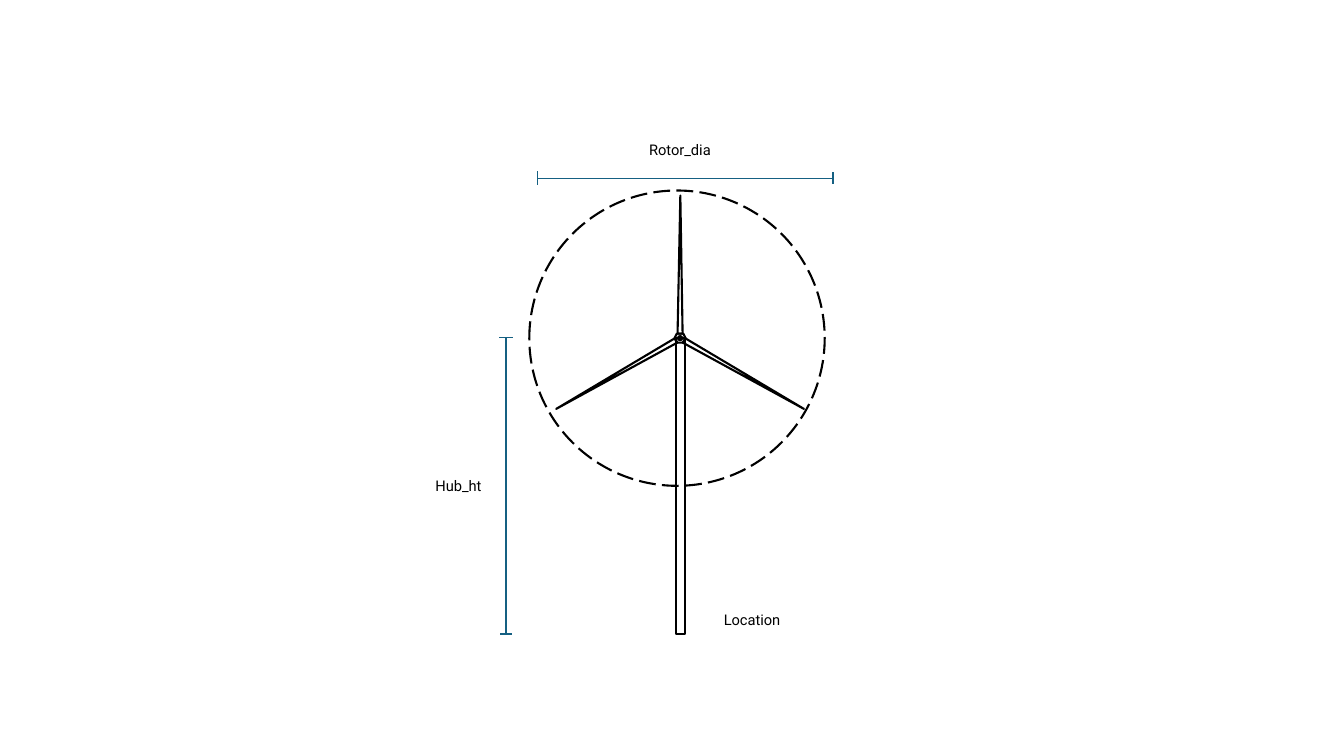
import math

from lxml import etree
from pptx import Presentation
from pptx.dml.color import RGBColor
from pptx.enum import dml, shapes, text
from pptx.oxml.ns import qn
from pptx.util import Inches, Pt

BLACK, BLUE = "000000", "156082"
SHAPE = shapes.MSO_SHAPE


def color(value):
    return RGBColor.from_string(value)


def add_outline(slide, kind, box, rotation=0):
    """Draw an unfilled shape with a black line."""
    outline = slide.shapes.add_shape(kind, *map(Inches, box))
    outline.shadow.inherit = False
    outline.fill.background()
    outline.line.color.rgb = color(BLACK)
    outline.line.width = Pt(1.5)
    outline.rotation = rotation
    return outline


def add_centered(slide, kind, center, size, rotation=0):
    (x, y), (width, height) = center, size
    box = (x - width / 2, y - height / 2, width, height)
    return add_outline(slide, kind, box, rotation)


def add_line(slide, x1, y1, x2, y2):
    line = slide.shapes.add_connector(
        shapes.MSO_CONNECTOR.STRAIGHT, *map(Inches, (x1, y1, x2, y2)))
    line.line.color.rgb = color(BLUE)
    line.line.width = Pt(1)
    etree.SubElement(line._element.spPr, qn("a:effectLst"))


def add_text(slide, words, box, size=10.5, font="Roboto", ink=BLACK):
    frame = slide.shapes.add_textbox(*map(Inches, box)).text_frame
    frame.word_wrap = True
    frame.auto_size = text.MSO_AUTO_SIZE.SHAPE_TO_FIT_TEXT
    run = frame.paragraphs[0].add_run()
    run.text = words
    run.font.size = Pt(size)
    run.font.name = font
    run.font.color.rgb = color(ink)


def add_turbine(slide, left, top, rotor, height):
    """Draw tower, hub, blades and swept circle; the box is as wide as the rotor."""
    hub_x, hub_y = hub = left + rotor / 2 + 0.03, top + rotor / 2
    add_outline(slide, SHAPE.RECTANGLE,
                (hub_x - 0.04, hub_y, 0.09, top + height - hub_y))
    add_centered(slide, SHAPE.HEXAGON, hub, (0.11, 0.09))
    add_centered(slide, SHAPE.OVAL, hub, (0.04, 0.04))

    reach = 0.73
    for angle, tip in ((0, 0.558), (119.6, 0.558), (240.4, 0.442)):
        turn = math.radians(angle)
        center = hub_x + reach * math.sin(turn), hub_y - reach * math.cos(turn)
        blade = add_centered(slide, SHAPE.ISOSCELES_TRIANGLE, center, (0.05, 1.37), angle)
        blade.adjustments[0] = tip

    swept_circle = add_outline(slide, SHAPE.OVAL, (left, top, rotor, rotor))
    swept_circle.line.dash_style = dml.MSO_LINE.LONG_DASH


def add_hub_height(slide, x, top, height):
    bottom = top + height
    add_line(slide, x, top, x, bottom)
    for y, half in ((top, 0.07), (bottom, 0.06)):
        add_line(slide, x - half, y, x + half, y)
    add_text(slide, "Hub_ht", (x - 0.8, top + 1.33, 0.73, 0.28))


def add_rotor_diameter(slide, left, y, width):
    right = left + width
    add_line(slide, left, y, right, y)
    for x, half in ((left, 0.07), (right, 0.06)):
        add_line(slide, x, y - half, x, y + half)
    add_text(slide, "Rotor_dia", (left + 1.01, y - 0.42, 0.91, 0.28))


def main():
    deck = Presentation()
    deck.slide_width, deck.slide_height = Inches(13.33), Inches(7.5)
    slide = deck.slides.add_slide(deck.slide_layouts[6])
    add_turbine(slide, left=5.25, top=1.89, rotor=2.93, height=4.4)
    add_hub_height(slide, x=5.02, top=3.35, height=2.94)
    add_rotor_diameter(slide, left=5.33, y=1.77, width=2.93)
    add_text(slide, "Location", (7.08, 6.01, 0.82, 0.28))
    deck.save("out.pptx")


if __name__ == "__main__":
    main()
